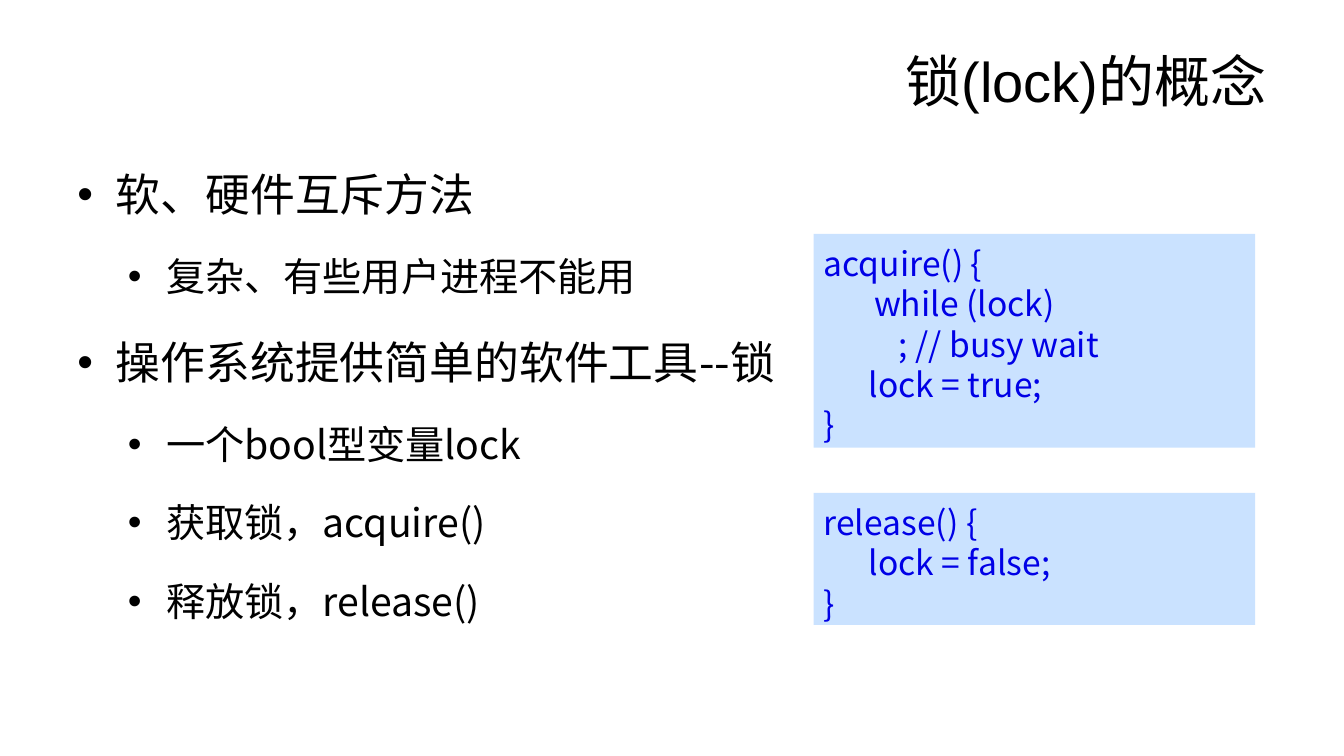
from pptx import Presentation
from pptx.dml.color import RGBColor
from pptx.enum.shapes import MSO_SHAPE
from pptx.enum.text import MSO_ANCHOR, PP_ALIGN
from pptx.oxml.ns import qn
from pptx.util import Inches, Pt
from lxml import etree

RECTANGLE = MSO_SHAPE.RECTANGLE
TOP, MIDDLE = MSO_ANCHOR.TOP, MSO_ANCHOR.MIDDLE
LEFT, RIGHT = PP_ALIGN.LEFT, PP_ALIGN.RIGHT

BLACK = RGBColor(0x00, 0x00, 0x00)
CODE_BLUE = RGBColor(0x00, 0x00, 0xE6)
PANEL_BLUE = RGBColor(0xCA, 0xE2, 0xFF)

TITLE_FONT = "Arial"
BODY_FONT = "Noto Sans CJK SC"
LINE_HEIGHT = 1.2  # line height as a share of the text size

WIDTH, HEIGHT = 13.33, 7.5
MARGIN = 0.67
BODY_TOP = 1.29
PANEL_LEFT, PANEL_WIDTH = 8.07, 4.38

# Level, text
POINTS = [
    (0, "软、硬件互斥方法"),
    (1, "复杂、有些用户进程不能用"),
    (0, "操作系统提供简单的软件工具--锁"),
    (1, "一个bool型变量lock"),
    (1, "获取锁，acquire()"),
    (1, "释放锁，release()"),
]
LEVEL_SIZES = [32, 28]
LEVEL_INDENTS = [0.38, 0.88]
HANGING = 0.38

# Top, height, lines
CODE_PANELS = [
    (2.32, 2.12, ["acquire() {\v\twhile (lock)", "          ; // busy wait",
                  "      lock = true;", "}"]),
    (4.89, 1.31, ["release() {", "      lock = false;", "}"]),
]


def write_text(para, text, size, font=BODY_FONT, color=BLACK, align=LEFT, spacing=None):
    """Fill one paragraph and format each of its spans."""
    para.text = text
    para.alignment = align
    if spacing:
        para.line_spacing = Pt(size * spacing)
    for span in para.runs:
        span.font.size = Pt(size)
        span.font.name = font
        span.font.color.rgb = color
        latin = span.font._element.find(qn("a:latin"))
        east_asian = etree.Element(qn("a:ea"), typeface=font)
        latin.addnext(east_asian)


def next_paragraph(frame, index):
    return frame.paragraphs[0] if index == 0 else frame.add_paragraph()


def add_bullet(para, left):
    """Give the paragraph a hanging round bullet."""
    properties = para._p.get_or_add_pPr()
    properties.set("marL", str(Inches(left)))
    properties.set("indent", str(-Inches(HANGING)))
    etree.SubElement(properties, qn("a:buFont"), typeface="Arial")
    etree.SubElement(properties, qn("a:buChar"), char="•")


def place_title(page, left, top, width, height):
    title = page.shapes.title
    title.left, title.top = Inches(left), Inches(top)
    title.width, title.height = Inches(width), Inches(height)
    title.text_frame.vertical_anchor = MIDDLE
    write_text(title.text_frame.paragraphs[0], "锁(lock)的概念", 40,
               font=TITLE_FONT, align=RIGHT)


def place_points(page, left, top, width, height):
    box = page.shapes.add_textbox(Inches(left), Inches(top), Inches(width), Inches(height))
    frame = box.text_frame
    frame.word_wrap = True
    frame.margin_top = Inches(0.1)
    for index, (level, text) in enumerate(POINTS):
        para = next_paragraph(frame, index)
        size = LEVEL_SIZES[level]
        para.level = level
        add_bullet(para, LEVEL_INDENTS[level])
        if index:
            para.space_before = Pt(size * 0.2)
        write_text(para, text, size, spacing=LINE_HEIGHT * 1.5)


def place_code(page, left, top, width, height, lines):
    panel = page.shapes.add_shape(RECTANGLE, Inches(left), Inches(top),
                                  Inches(width), Inches(height))
    panel.shadow.inherit = False
    panel.fill.solid()
    panel.fill.fore_color.rgb = PANEL_BLUE
    panel.line.fill.background()
    frame = panel.text_frame
    frame.word_wrap = True
    frame.vertical_anchor = TOP
    frame.margin_top = Inches(0.09)
    for index, line in enumerate(lines):
        write_text(next_paragraph(frame, index), line, 24,
                   color=CODE_BLUE, spacing=LINE_HEIGHT)


def main():
    deck = Presentation()
    deck.slide_width, deck.slide_height = Inches(WIDTH), Inches(HEIGHT)
    page = deck.slides.add_slide(deck.slide_layouts.get_by_name("Title Only"))
    content_width = WIDTH - 2 * MARGIN
    place_title(page, MARGIN, 0.3, content_width, 0.99)
    place_points(page, MARGIN, BODY_TOP, content_width, 5.41)
    for top, height, lines in CODE_PANELS:
        place_code(page, PANEL_LEFT, top, PANEL_WIDTH, height, lines)
    deck.save("out.pptx")


if __name__ == "__main__":
    main()
